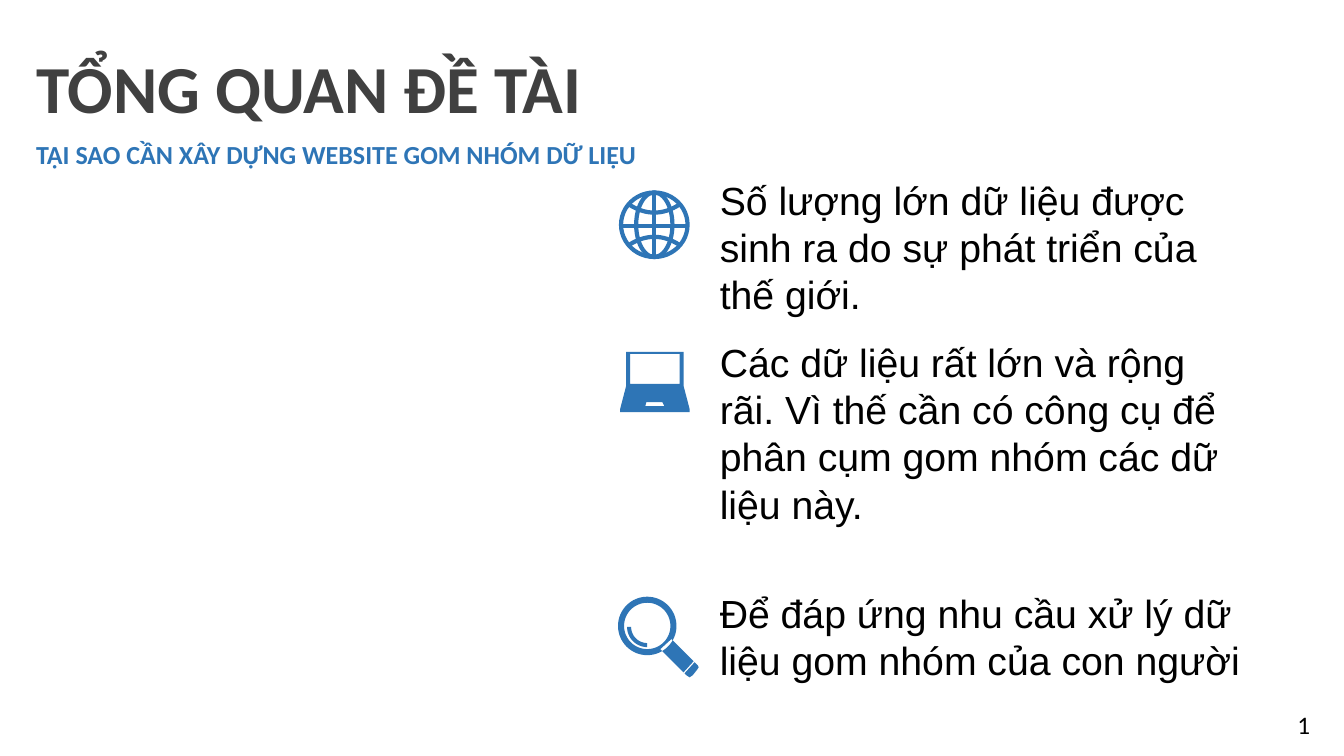
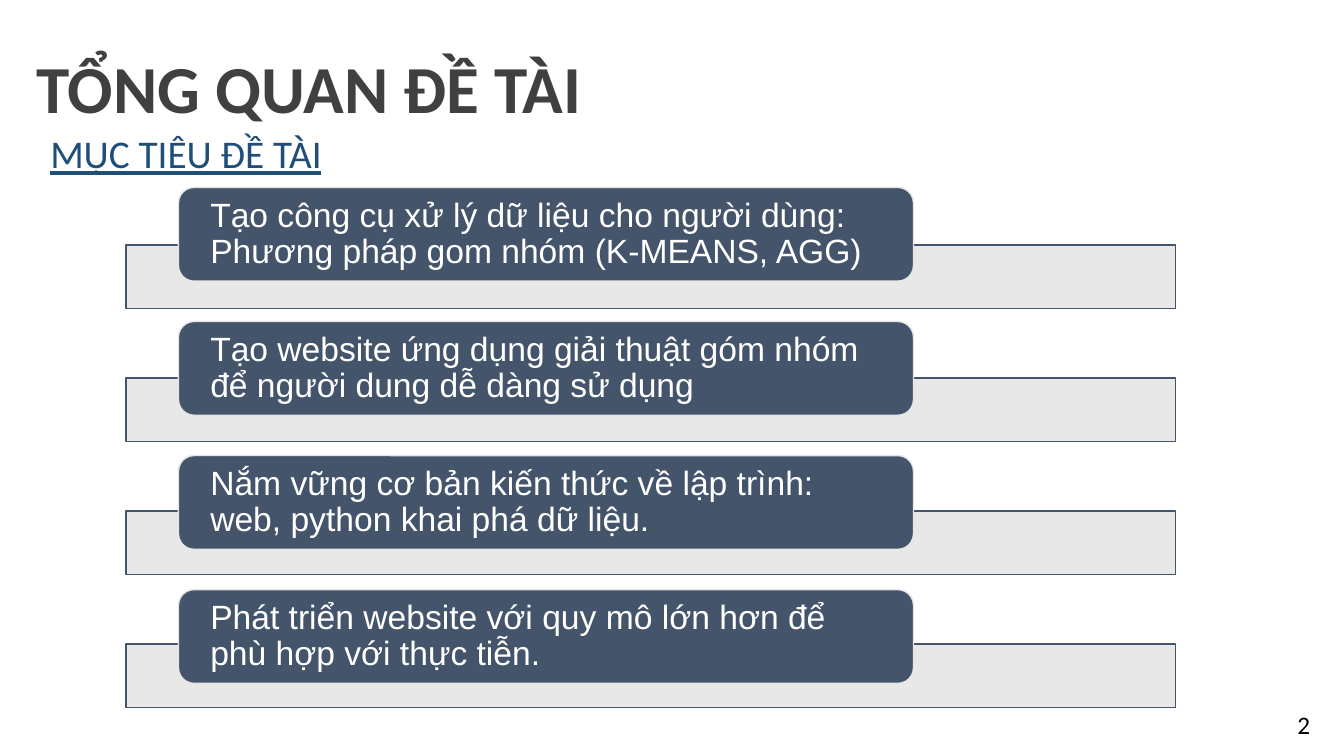
from math import cos, pi, sin

from lxml import etree
from pptx import Presentation
from pptx.dml.color import RGBColor
from pptx.enum.shapes import MSO_SHAPE
from pptx.enum.text import MSO_ANCHOR, MSO_AUTO_SIZE, PP_ALIGN
from pptx.oxml import parse_xml
from pptx.oxml.ns import nsdecls, qn
from pptx.util import Inches, Pt

BLUE, NAVY, SLATE = "2E75B6", "1F4E79", "44546A"
DARK, LIGHT, BLACK, WHITE = "404040", "E7E6E6", "000000", "FFFFFF"
color = RGBColor.from_string


def write(shape, text, size, font_name, text_color, anchor=MSO_ANCHOR.TOP, line_spacing=None):
    """Fill a shape with one left-aligned paragraph and return the paragraph."""
    frame = shape.text_frame
    frame.word_wrap = True
    frame.auto_size = MSO_AUTO_SIZE.NONE
    frame.vertical_anchor = anchor
    paragraph = frame.paragraphs[0]
    paragraph.text = text
    paragraph.alignment = PP_ALIGN.LEFT
    paragraph.line_spacing = line_spacing
    paragraph.font.size = Pt(size)
    paragraph.font.name = font_name
    paragraph.font.color.rgb = color(text_color)
    return paragraph


def draw(shapes, contours, stroke=None):
    """Draw contours in inches: filled outlines, or open lines if stroke (points) is given."""
    contours = [[(Inches(x), Inches(y)) for x, y in contour] for contour in contours]
    builder = shapes.build_freeform(*contours[0][0])
    for index, contour in enumerate(contours):
        if index:
            builder.move_to(*contour[0])
        builder.add_line_segments(contour[1:], close=stroke is None)
    shape = builder.convert_to_shape()
    shape.shadow.inherit = False
    if stroke is None:
        shape.fill.solid()
        shape.fill.fore_color.rgb = color(BLUE)
        shape.line.fill.background()
    else:
        shape.fill.background()
        shape.line.color.rgb = color(BLUE)
        shape.line.width = Pt(stroke)


presentation = Presentation()
presentation.slide_width = Inches(13.33)
presentation.slide_height = Inches(7.5)
title_only = presentation.slide_layouts[5]

# Shared title, subtitle and slide number
subtitles = [
    ("TẠI SAO CẦN XÂY DỰNG WEBSITE GOM NHÓM DỮ LIỆU", 0.26, 18.6, BLUE),
    ("MỤC TIÊU ĐỀ TÀI", 0.4, 28, NAVY),
]
slides = []
for number, (subtitle, left, size, subtitle_color) in enumerate(subtitles, 1):
    slide = presentation.slides.add_slide(title_only)
    slides.append(slide)
    title = slide.shapes.title
    title.left, title.top = Inches(0.26), Inches(0.49)
    title.width, title.height = Inches(6.19), Inches(0.84)
    paragraph = write(title, "TỔNG QUAN ĐỀ TÀI", 48, "Calibri", DARK, MSO_ANCHOR.MIDDLE, 0.9)
    paragraph.font.bold = True

    box = slide.shapes.add_textbox(Inches(left), Inches(1.34), Inches(6.25), Inches(0.42))
    paragraph = write(box, subtitle, size, "Calibri", subtitle_color, MSO_ANCHOR.MIDDLE, 0.9)
    paragraph.font.bold = number == 1
    paragraph.font.underline = number == 2

    box = slide.shapes.add_textbox(Inches(12.77), Inches(6.99), Inches(0.56), Inches(0.4))
    paragraph = write(box, "", 18, "Calibri", BLACK)
    paragraph._p.append(parse_xml(
        f'<a:fld {nsdecls("a")} id="{{B6F15528-21DE-4FAA-801E-634DDDAF4B2B}}" type="slidenum">'
        f'<a:rPr lang="vi-VN" sz="1800"/><a:t>{number}</a:t></a:fld>'))

# Slide 1: reasons with icons
overview, goals = slides
reasons = [
    ("Số lượng lớn dữ liệu được sinh ra do sự phát triển của thế giới.", 1.7, 1.51),
    ("Các dữ liệu rất lớn và rộng rãi. Vì thế cần có công cụ để phân cụm gom nhóm "
     "các dữ liệu này.", 3.31, 1.99),
    ("Để đáp ứng nhu cầu xử lý dữ liệu gom nhóm của con người", 5.8, 1.04),
]
for text, top, height in reasons:
    box = overview.shapes.add_textbox(Inches(7.04), Inches(top), Inches(5.41), Inches(height))
    write(box, text, 28, "Arial", BLACK)

globe = overview.shapes.add_group_shape().shapes
center_x, center_y = 6.49, 2.23
for radius_x in (0.33, 0.18):
    ring = globe.add_shape(MSO_SHAPE.OVAL, Inches(center_x - radius_x), Inches(center_y - 0.32),
                           Inches(2 * radius_x), Inches(0.64))
    ring.shadow.inherit = False
    ring.fill.background()
    ring.line.color.rgb = color(BLUE)
    ring.line.width = Pt(3)
steps = [step / 8 for step in range(-8, 9)]
latitudes = [[(center_x + 0.25 * step, center_y + side * (0.12 + 0.08 * step ** 2))
              for step in steps] for side in (-1, 1)]
axes = [[(center_x, 1.91), (center_x, 2.55)], [(6.16, center_y + 0.01), (6.82, center_y + 0.01)]]
draw(globe, latitudes + axes, stroke=3)

laptop_body = [(6.21, 3.49), (6.78, 3.49), (6.78, 3.83), (6.84, 4.06), (6.84, 4.09),
               (6.15, 4.09), (6.15, 4.06), (6.21, 3.83)]
laptop_screen = [(6.25, 3.51), (6.25, 3.81), (6.74, 3.81), (6.74, 3.51)]
laptop_touchpad = [(6.41, 3.99), (6.4, 4.03), (6.59, 4.03), (6.57, 3.99)]
draw(overview.shapes, [laptop_body, laptop_screen, laptop_touchpad])

angles = [step * pi / 32 for step in range(64)]
lens_rim, lens_glass = [[(6.42 + radius * cos(angle), 6.21 + radius * sin(angle))
                         for angle in angles] for radius in (0.29, 0.23)]
outer_arc, inner_arc = [[(6.42 + radius * cos(angle), 6.22 + radius * sin(angle))
                         for angle in angles[16:33]] for radius in (0.2, 0.16)]
handle = [(6.55, 6.44), (6.78, 6.67), (6.88, 6.56), (6.66, 6.34)]
handle_end = [(6.79, 6.68), (6.81, 6.7), (6.84, 6.72), (6.87, 6.7), (6.91, 6.65),
              (6.93, 6.62), (6.92, 6.6), (6.89, 6.57)]
draw(overview.shapes, [lens_rim, lens_glass, outer_arc + inner_arc[::-1], handle, handle_end])

# Slide 2: goal cards over bars
goal_texts = [
    "Tạo công cụ xử lý dữ liệu cho người dùng: Phương pháp gom nhóm (K-MEANS, AGG)",
    "Tạo website ứng dụng giải thuật góm nhóm để người dung dễ dàng sử dụng",
    "Nắm vững cơ bản kiến thức về lập trình: web, python khai phá dữ liệu.",
    "Phát triển website với quy mô lớn hơn để phù hợp với thực tiễn.",
]
for row, text in enumerate(goal_texts):
    bar = goals.shapes.add_shape(MSO_SHAPE.RECTANGLE, Inches(1.25), Inches(2.43 + 1.32 * row),
                                 Inches(10.41), Inches(0.63))
    card = goals.shapes.add_shape(MSO_SHAPE.ROUNDED_RECTANGLE, Inches(1.77),
                                  Inches(1.86 + 1.33 * row), Inches(7.29), Inches(0.93))
    for shape, fill_color, line_color in ((bar, LIGHT, SLATE), (card, SLATE, LIGHT)):
        shape.shadow.inherit = False
        shape.fill.solid()
        shape.fill.fore_color.rgb = color(fill_color)
        shape.line.color.rgb = color(line_color)
        shape.line.width = Pt(1)
    bar_color = bar.fill._xPr.find(qn("a:solidFill"))[0]
    etree.SubElement(bar_color, qn("a:alpha"), val="90000")
    write(card, text, 24, "Arial", WHITE, MSO_ANCHOR.MIDDLE, 0.9)
    frame = card.text_frame
    frame.margin_left = frame.margin_right = Inches(0.27)
    frame.margin_top = frame.margin_bottom = 0

presentation.save("out.pptx")
